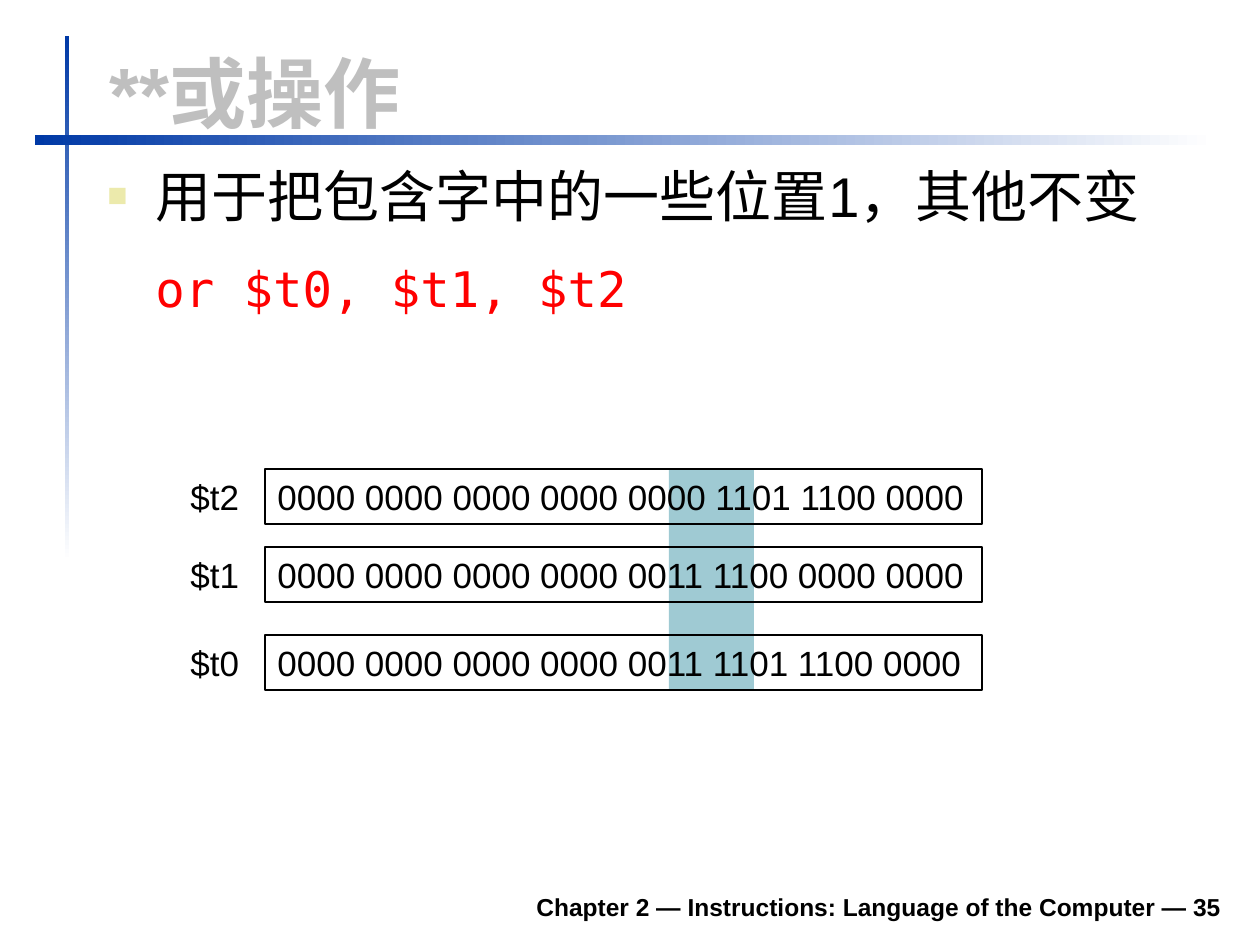
"""Build the slide on the bitwise OR operation."""
from dataclasses import dataclass

import pptx
import pptx.dml.color
import pptx.enum.shapes
import pptx.enum.text
import pptx.oxml
import pptx.util

EMU_PER_PX = 914400 / 126
COLORS = {
    "black": "000000", "white": "FFFFFF", "blue": "0039A6", "grey": "BFBFBF",
    "red": "FF0000", "teal": "9FCAD3", "bullet": "ECEAAC",
}
ANCHOR = pptx.enum.text.MSO_ANCHOR
ALIGN = pptx.enum.text.PP_ALIGN
AUTO_SIZE = pptx.enum.text.MSO_AUTO_SIZE
RECTANGLE = pptx.enum.shapes.MSO_SHAPE.RECTANGLE
BODY_INDENT = 48


@dataclass
class Box:
    left: int
    top: int
    width: int
    height: int


@dataclass
class Register:
    name: str
    bits: str
    top: int


REGISTERS = [
    Register("$t2", "0000 0000 0000 0000 0000 1101 1100 0000", 469),
    Register("$t1", "0000 0000 0000 0000 0011 1100 0000 0000", 547),
    Register("$t0", "0000 0000 0000 0000 0011 1101 1100 0000", 635),
]


def px(length: float) -> int:
    return round(length * EMU_PER_PX)


def edges(box: Box) -> list[int]:
    return [px(length) for length in (box.left, box.top, box.width, box.height)]


def rgb(name: str) -> pptx.dml.color.RGBColor:
    return pptx.dml.color.RGBColor.from_string(COLORS[name])


def add_rectangle(slide, box: Box):
    shape = slide.shapes.add_shape(RECTANGLE, *edges(box))
    shape.shadow.inherit = False
    shape.line.fill.background()
    return shape


def add_gradient_rule(slide, box: Box, angle: int) -> None:
    fill = add_rectangle(slide, box).fill
    fill.gradient()
    fill.gradient_angle = angle
    for stop, position, color in zip(fill.gradient_stops, (0, 1), ("blue", "white")):
        stop.position = position
        stop.color.rgb = rgb(color)


def add_textbox(slide, box: Box, anchor=ANCHOR.TOP, wrap: bool = True):
    shape = slide.shapes.add_textbox(*edges(box))
    shape.text_frame.word_wrap = wrap
    shape.text_frame.vertical_anchor = anchor
    return shape


def write(paragraph, text: str, *, size: int = 20, font: str = "Arial",
          color: str = "black", bold: bool = False, align=ALIGN.LEFT) -> None:
    paragraph.alignment = align
    run = paragraph.add_run()
    run.text = text
    run.font.size = pptx.util.Pt(size)
    run.font.name = font
    run.font.bold = bold
    run.font.color.rgb = rgb(color)


def set_indent(paragraph, left: int, first: int = 0) -> None:
    properties = paragraph._p.get_or_add_pPr()
    properties.set("marL", str(px(left)))
    properties.set("indent", str(px(first)))


def add_bullet(paragraph) -> None:
    namespace = 'xmlns:a="http://schemas.openxmlformats.org/drawingml/2006/main"'
    properties = paragraph._p.get_or_add_pPr()
    for xml in (
        f'<a:buClr {namespace}><a:srgbClr val="{COLORS["bullet"]}"/></a:buClr>',
        f'<a:buSzPct {namespace} val="60000"/>',
        f'<a:buFont {namespace} typeface="Arial"/>',
        f'<a:buChar {namespace} char="■"/>',
    ):
        properties.append(pptx.oxml.parse_xml(xml))


def add_body(slide) -> None:
    frame = add_textbox(slide, Box(95, 155, 1140, 286)).text_frame
    statement = frame.paragraphs[0]
    set_indent(statement, BODY_INDENT, -BODY_INDENT)
    add_bullet(statement)
    write(statement, "用于把包含字中的一些位置1，其他不变", size=32)
    instruction = frame.add_paragraph()
    set_indent(instruction, BODY_INDENT)
    instruction.space_before = pptx.util.Pt(17)
    write(instruction, "or $t0, $t1, $t2", size=28, font="DejaVu Sans Mono", color="red")


def add_register(slide, register: Register) -> None:
    cell = add_rectangle(slide, Box(265, register.top, 717, 55))
    cell.fill.background()
    cell.line.color.rgb = rgb("black")
    cell.line.width = pptx.util.Pt(0.75)
    cell.text_frame.vertical_anchor = ANCHOR.TOP
    label = add_textbox(slide, Box(178, register.top, 74, 55))
    for shape, text in ((cell, register.bits), (label, register.name)):
        shape.text_frame.word_wrap = False
        shape.text_frame.auto_size = AUTO_SIZE.SHAPE_TO_FIT_TEXT
        write(shape.text_frame.paragraphs[0], text)


def main() -> None:
    presentation = pptx.Presentation()
    presentation.slide_width = px(1260)
    presentation.slide_height = px(945)
    slide = presentation.slides.add_slide(presentation.slide_layouts[6])

    add_gradient_rule(slide, Box(65, 36, 4, 525), 270)
    add_gradient_rule(slide, Box(35, 135, 1180, 10), 0)
    footer = add_textbox(slide, Box(233, 879, 1001, 49), ANCHOR.BOTTOM)
    write(footer.text_frame.paragraphs[0],
          "Chapter 2 — Instructions: Language of the Computer — 35",
          size=14, bold=True, align=ALIGN.RIGHT)
    band = add_rectangle(slide, Box(669, 470, 85, 221))
    band.fill.solid()
    band.fill.fore_color.rgb = rgb("teal")
    title = add_textbox(slide, Box(97, 39, 1138, 105), ANCHOR.BOTTOM)
    write(title.text_frame.paragraphs[0], "**或操作", size=44, color="grey", bold=True)
    add_body(slide)
    for register in REGISTERS:
        add_register(slide, register)

    presentation.save("out.pptx")


if __name__ == "__main__":
    main()
